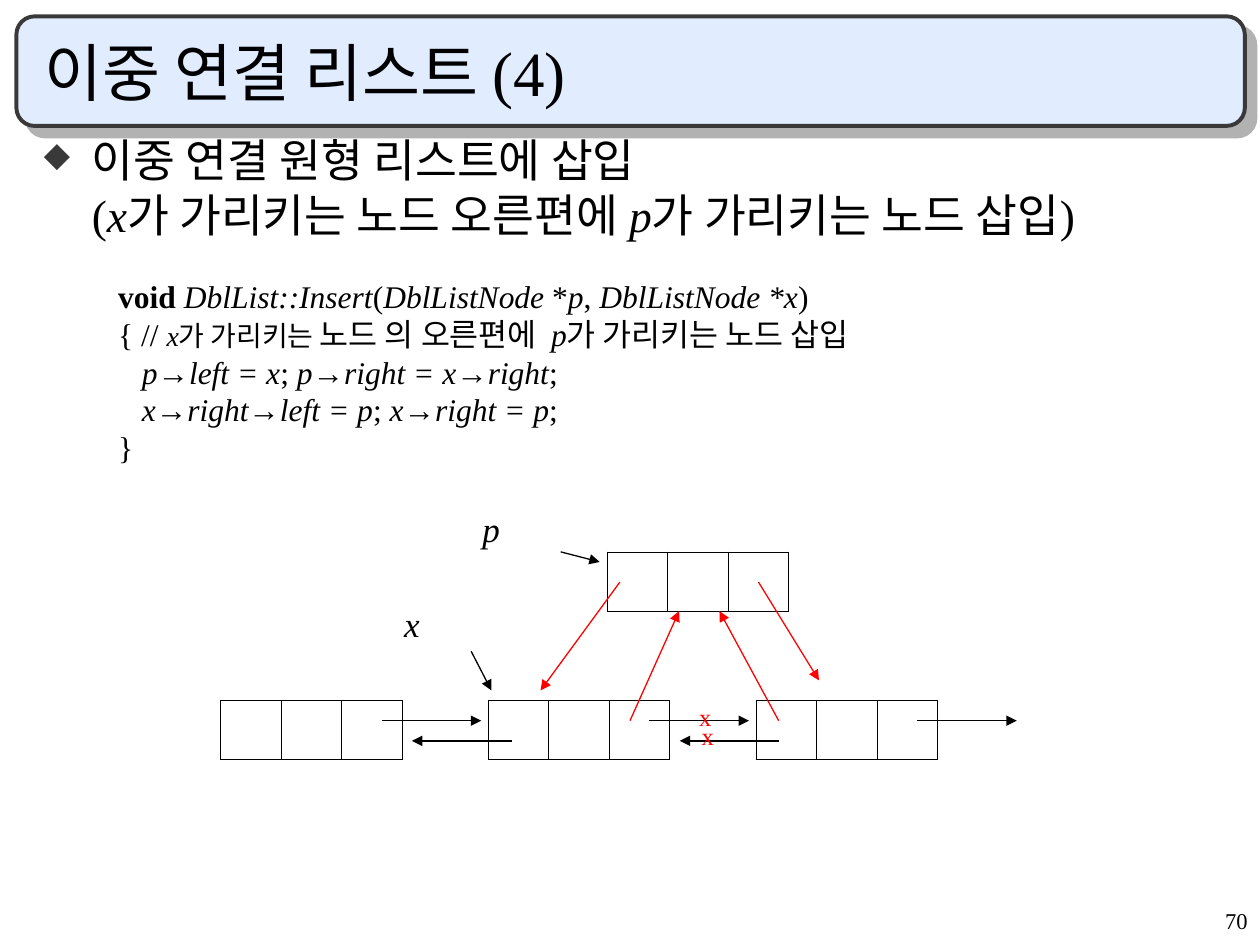
from lxml import etree
from pptx import Presentation
from pptx.dml.color import RGBColor
from pptx.enum import shapes, text
from pptx.oxml import parse_xml
from pptx.oxml.ns import nsdecls, qn
from pptx.util import Inches, Pt

BLACK = RGBColor(0, 0, 0)
RED = RGBColor(0xFF, 0, 0)
BAR_FILL = RGBColor(0xE1, 0xEC, 0xFF)
DARK = RGBColor(0x39, 0x39, 0x39)
FONT = "Times New Roman"

# Content: each line is a list of (text, format) runs
I, B, SMALL = {"italic": True}, {"bold": True}, {"size": Pt(16)}
TITLE = "이중 연결 리스트 (4)"
BODY = [
    [("이중 연결 원형 리스트에 삽입", {})],
    [("(", {}), ("x", I), ("가 가리키는 노드 오른편에 ", {}), ("p", I),
     ("가 가리키는 노드 삽입)", {})],
]
CODE = [
    [("void ", B), ("DblList::Insert", I), ("(", {}), ("DblListNode", I),
     (" *", {}), ("p", I), (", ", {}), ("DblListNode *x", I), (")", {})],
    [("{ // ", {}), ("x", {**I, **SMALL}), ("가 가리키는 ", SMALL),
     ("노드 의 오른편에  ", {}), ("p", I), ("가 가리키는 노드 삽입", {})],
    [("   ", {}), ("p→left = x", I), ("; ", {}), ("p→right = x→right", I), (";", {})],
    [("   ", {}), ("x→right→left = p", I), ("; ", {}), ("x→right = p", I), (";", {})],
    [("}", {})],
]
# Labels: text, box, size, colour, format
LABELS = [
    ("p", (3.73, 4.04, 1.09, 0.37), 20, BLACK, I),
    ("x", (3.11, 4.8, 1.07, 0.37), 20, BLACK, I),
    ("x", (5.45, 5.57, 0.41, 0.29), 14, RED, {}),
    ("x", (5.47, 5.72, 0.41, 0.29), 14, RED, {}),
]
POINTERS = [(4.45, 4.38, 4.76, 4.46), (3.74, 5.17, 3.9, 5.48)]
NEW_LINKS = [(4.92, 4.62, 4.29, 5.48), (6.02, 4.62, 6.5, 5.4),
             (5, 5.72, 5.39, 4.85), (6.18, 5.72, 5.71, 4.85)]

# Node geometry
CELL_W, CELL_H = 0.48, 0.47
ROW_X, ROW_Y, STEP, NODES = 1.75, 5.56, 2.125, 3
NEW_NODE = (4.82, 4.38)

prs = Presentation()
prs.slide_width, prs.slide_height = Inches(10), Inches(7.5)
s = prs.slides.add_slide(prs.slide_layouts[5])


def inches(values):
    return [Inches(v) for v in values]


def fill_text(tf, lines, size, color=BLACK, **para):
    tf.word_wrap = True
    for n, line in enumerate(lines):
        p = tf.paragraphs[0] if n == 0 else tf.add_paragraph()
        for key, value in para.items():
            if key != "space_before" or n:
                setattr(p, key, value)
        for words, style in line:
            r = p.add_run()
            r.text = words
            for key, value in {"name": FONT, "size": Pt(size), **style}.items():
                setattr(r.font, key, value)
            r.font.color.rgb = color


def add_text(box, lines, size, color=BLACK, **para):
    tf = s.shapes.add_textbox(*inches(box)).text_frame
    fill_text(tf, lines, size, color, **para)
    return tf


def add_node(x, y):
    frame = s.shapes.add_table(1, 3, *inches((x, y, 3 * CELL_W, CELL_H)))
    table = frame.table
    table.first_row = table.horz_banding = False
    for cell in table.iter_cells():
        pr = cell._tc.get_or_add_tcPr()
        for side in ("lnL", "lnR", "lnT", "lnB"):
            pr.append(parse_xml(
                f'<a:{side} {nsdecls("a")} w="{Pt(0.45)}"><a:solidFill>'
                f'<a:srgbClr val="{BLACK}"/></a:solidFill></a:{side}>'))
        cell.fill.background()


def add_arrow(ends, color=BLACK):
    c = s.shapes.add_connector(shapes.MSO_CONNECTOR.STRAIGHT, *inches(ends))
    c.line.color.rgb = color
    c.line.width = Pt(0.75)
    etree.SubElement(c.line._get_or_add_ln(), qn("a:tailEnd"), type="triangle")
    etree.SubElement(c.element.spPr, qn("a:effectLst"))


# Title on its shadowed bar
title = s.shapes.title
title.left, title.top, title.width, title.height = inches((0.25, 0.25, 9.42, 0.67))
title.text_frame.vertical_anchor = text.MSO_ANCHOR.BOTTOM
fill_text(title.text_frame, [[(TITLE, {})]], 36, alignment=text.PP_ALIGN.LEFT)

bar = s.shapes.add_shape(shapes.MSO_SHAPE.ROUNDED_RECTANGLE,
                         *inches((0.13, 0.13, 9.75, 0.87)))
bar.fill.solid()
bar.fill.fore_color.rgb = BAR_FILL
bar.line.color.rgb = DARK
bar.line.width = Pt(2.25)
bar.element.spPr.append(parse_xml(
    f'<a:effectLst {nsdecls("a")}><a:outerShdw dist="{Pt(8.5)}" dir="2700000" '
    'algn="ctr" rotWithShape="0"><a:srgbClr val="B2B2B2"/></a:outerShdw></a:effectLst>'))
title.element.addprevious(bar.element)

# Bulleted heading, second line aligned with the first
body = add_text((0.25, 1.08, 9.42, 5.83), BODY, 26,
                line_spacing=0.8, space_before=Pt(6.5))
for n, p in enumerate(body.paragraphs):
    pr = p._p.get_or_add_pPr()
    pr.set("marL", str(Inches(0.38)))
    pr.set("indent", str(Inches(0 if n else -0.38)))
    if n == 0:
        for tag, child in (("buClr", f'<a:srgbClr val="{DARK}"/>'),):
            pr.append(parse_xml(f'<a:{tag} {nsdecls("a")}>{child}</a:{tag}>'))
        etree.SubElement(pr, qn("a:buSzPct"), val="75000")
        etree.SubElement(pr, qn("a:buChar"), char="◆")

# Code
add_text((0.84, 2.15, 6.4, 1.6), CODE, 18)

# Linked nodes with forward and backward arrows
for n in range(NODES):
    x = ROW_X + n * STEP
    add_node(x, ROW_Y)
    add_arrow((x + 1.28, 5.72, x + 2.07, 5.72))
    if n < NODES - 1:
        add_arrow((x + 2.31, 5.88, x + 1.52, 5.88))

# Inserted node, its links and the pointers
add_node(*NEW_NODE)
for ends in NEW_LINKS:
    add_arrow(ends, RED)
for ends in POINTERS:
    add_arrow(ends)
for words, box, size, color, style in LABELS:
    add_text(box, [[(words, style)]], size, color, line_spacing=0.8)

# Page number
add_text((7.92, 7.17, 2.08, 0.33), [[("70", {})]], 12.9,
         alignment=text.PP_ALIGN.RIGHT, line_spacing=0.9)

prs.save("out.pptx")
